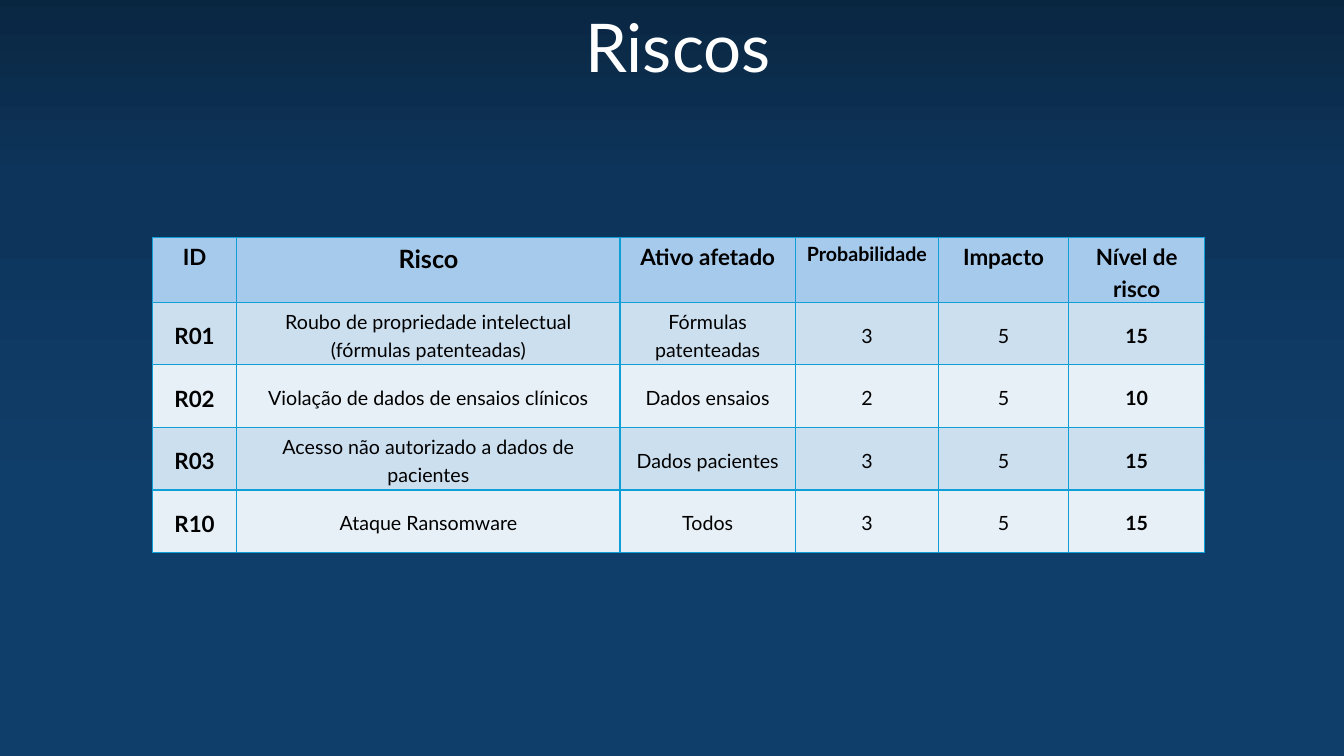
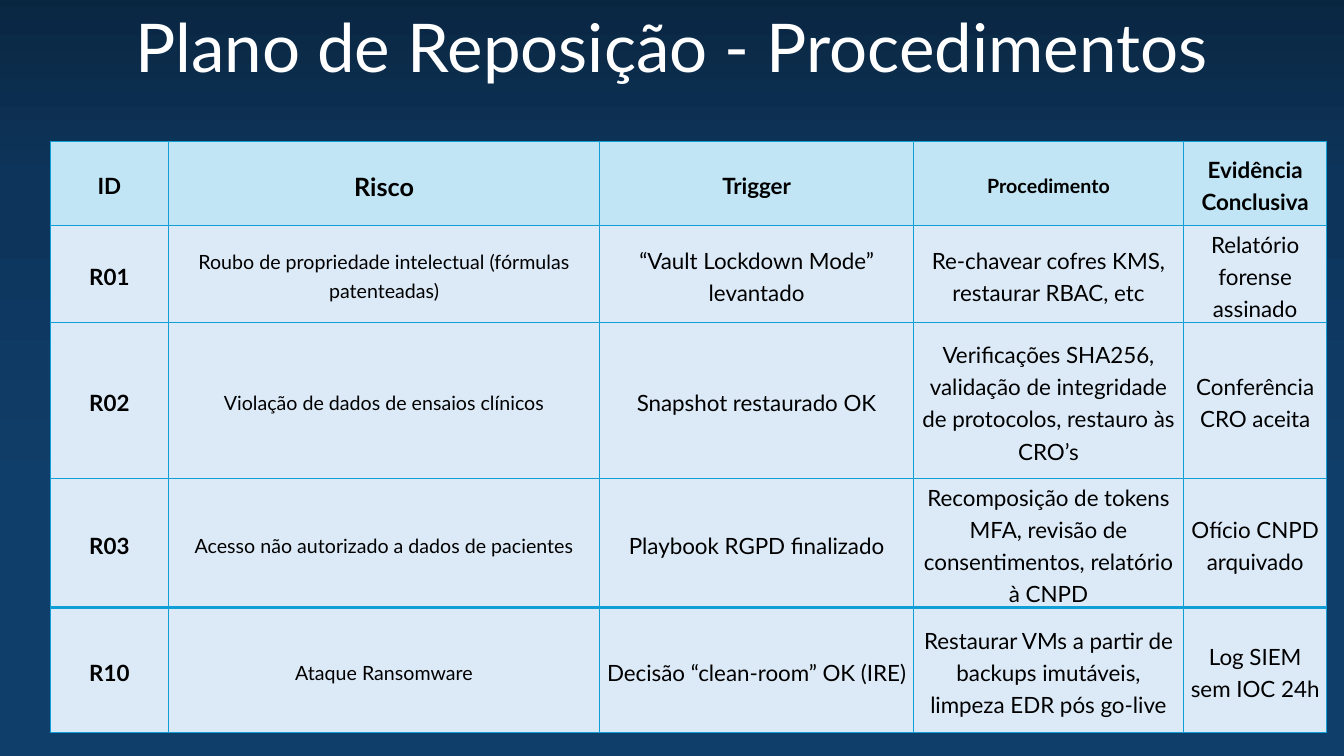
from dataclasses import dataclass

from lxml import etree
from pptx import Presentation
from pptx import util as u
from pptx.dml.color import RGBColor
from pptx.enum import text
from pptx.enum import shapes
from pptx.oxml import ns

PX = 9144
FONT = "Lato"
WHITE, BLACK, BORDER = "FFFFFF", "000000", "0F9ED5"
GRADIENT = [(0, "09253F"), (25, "0D345A"), (65, "103E6A")]
BACKDROP = (-27, -22, 1398, 798)
TITLE_HEIGHT = 91


@dataclass
class Column:
    """A table column with its heading, width and text format."""
    heading: str
    width: int
    head_pt: int = 16
    body_pt: int = 14
    bold: bool = False


@dataclass
class RiskSlide:
    """A slide with a title over one table of risks."""
    title: str
    title_left: int
    title_width: int
    left: int
    top: int
    heights: list[int]
    columns: list[Column]
    rows: list[tuple[str, ...]]
    head_fill: str
    body_fills: list[str]
    head_anchor: text.MSO_ANCHOR


RISKS = [
    ("R01", "Roubo de propriedade intelectual (fórmulas patenteadas)"),
    ("R02", "Violação de dados de ensaios clínicos"),
    ("R03", "Acesso não autorizado a dados de pacientes"),
    ("R10", "Ataque Ransomware"),
]
RATINGS = [
    ("Fórmulas patenteadas", "3", "5", "15"),
    ("Dados ensaios", "2", "5", "10"),
    ("Dados pacientes", "3", "5", "15"),
    ("Todos", "3", "5", "15"),
]
PROCEDURES = [
    ("“Vault Lockdown Mode” levantado",
     "Re-chavear cofres KMS, restaurar RBAC, etc",
     "Relatório forense assinado"),
    ("Snapshot restaurado OK",
     "Verificações SHA256, validação de integridade de protocolos, restauro às CRO’s",
     "Conferência CRO aceita"),
    ("Playbook RGPD finalizado",
     "Recomposição de tokens MFA, revisão de consentimentos, relatório à CNPD",
     "Ofício CNPD arquivado"),
    ("Decisão “clean-room” OK (IRE)",
     "Restaurar VMs a partir de backups imutáveis, limpeza EDR pós go-live",
     "Log SIEM sem IOC 24h"),
]
SLIDES = [
    RiskSlide(
        "Riscos", 565, 215, 151, 236, [62] * 5,
        [Column("ID", 84, body_pt=16, bold=True),
         Column("Risco", 380, head_pt=18),
         Column("Ativo afetado", 174),
         Column("Probabilidade", 142, head_pt=14),
         Column("Impacto", 129),
         Column("Nível de risco", 135, bold=True)],
        [risk + rating for risk, rating in zip(RISKS, RATINGS)],
        "A6CAEC", ["CCDFEF", "E7F0F7"], text.MSO_ANCHOR.TOP),
    RiskSlide(
        "Plano de Reposição - Procedimentos", 122, 1088, 50, 140,
        [84, 94, 155, 124, 124],
        [Column("ID", 117, body_pt=16, bold=True),
         Column("Risco", 428, head_pt=18),
         Column("Trigger", 311, body_pt=16),
         Column("Procedimento", 268, head_pt=14, body_pt=16),
         Column("Evidência Conclusiva", 142, body_pt=16)],
        [risk + steps for risk, steps in zip(RISKS, PROCEDURES)],
        "C1E5F5", ["DCEAF7"], text.MSO_ANCHOR.MIDDLE),
]


def px(n: int) -> u.Emu:
    """Turn px into EMU."""
    return u.Emu(n * PX)


def rgb(value: str) -> RGBColor:
    """Turn a hex string into a colour."""
    return RGBColor.from_string(value)


def add_xml(parent, tag: str, **attrs):
    """Append a drawing element with attributes."""
    return etree.SubElement(parent, ns.qn(tag), attrs)


def write(tf, content: str, *, size: int, color: str = BLACK, bold: bool = False,
          spacing: float = 1.0, after: int = 0) -> None:
    """Write one centred paragraph into a text frame."""
    p = tf.paragraphs[0]
    p.alignment = text.PP_ALIGN.CENTER
    p.line_spacing = spacing
    p.space_before, p.space_after = u.Pt(0), u.Pt(after)
    r = p.add_run()
    r.text = content
    r.font.name, r.font.size, r.font.bold = FONT, u.Pt(size), bold
    r.font.color.rgb = rgb(color)


def add_backdrop(s) -> None:
    """Draw the gradient behind everything on the slide."""
    sp = s.shapes.add_shape(shapes.MSO_SHAPE.RECTANGLE, *map(px, BACKDROP))
    sp.shadow.inherit = False
    sp.line.fill.background()
    sp.fill.gradient()
    grad = sp._element.spPr.find(ns.qn("a:gradFill"))
    for child in list(grad):
        grad.remove(child)
    stops = add_xml(grad, "a:gsLst")
    for pos, color in GRADIENT:
        stop = add_xml(stops, "a:gs", pos=str(pos * 1000))
        add_xml(stop, "a:srgbClr", val=color)
    add_xml(grad, "a:lin", ang="5400000", scaled="0")
    s.shapes._spTree.insert(2, sp._element)


def add_title(s, spec: RiskSlide) -> None:
    """Place and fill the title placeholder."""
    sp = s.shapes.title
    sp.left, sp.top = px(spec.title_left), px(0)
    sp.width, sp.height = px(spec.title_width), px(TITLE_HEIGHT)
    tf = sp.text_frame
    tf.word_wrap = False
    tf.auto_size = text.MSO_AUTO_SIZE.SHAPE_TO_FIT_TEXT
    tf.vertical_anchor = text.MSO_ANCHOR.TOP
    write(tf, spec.title, size=48, color=WHITE)


def set_borders(cell, top_pt: int) -> None:
    """Draw the four borders of a cell."""
    props = cell._tc.get_or_add_tcPr()
    for side, width in (("L", 1), ("R", 1), ("T", top_pt), ("B", 1)):
        ln = add_xml(props, f"a:ln{side}", w=str(u.Pt(width)))
        add_xml(add_xml(ln, "a:solidFill"), "a:srgbClr", val=BORDER)


def add_risk_table(s, spec: RiskSlide) -> None:
    """Draw the table of risks."""
    width = sum(c.width for c in spec.columns)
    table = s.shapes.add_table(
        len(spec.heights), len(spec.columns), px(spec.left), px(spec.top),
        px(width), px(sum(spec.heights))).table
    table.first_row = table.horz_banding = False
    for column, c in zip(table.columns, spec.columns):
        column.width = px(c.width)
    contents = [tuple(c.heading for c in spec.columns), *spec.rows]
    for i, (height, values) in enumerate(zip(spec.heights, contents)):
        table.rows[i].height = px(height)
        head = i == 0
        fill = spec.head_fill if head else spec.body_fills[(i - 1) % len(spec.body_fills)]
        for j, (c, value) in enumerate(zip(spec.columns, values)):
            cell = table.cell(i, j)
            set_borders(cell, 2 if i == len(spec.rows) else 1)
            cell.fill.solid()
            cell.fill.fore_color.rgb = rgb(fill)
            cell.margin_left = cell.margin_right = px(7)
            cell.margin_top = cell.margin_bottom = px(0)
            cell.vertical_anchor = spec.head_anchor if head else text.MSO_ANCHOR.MIDDLE
            write(cell.text_frame, value, size=c.head_pt if head else c.body_pt,
                  bold=head or c.bold, spacing=1.2, after=3)


def main() -> None:
    """Build the presentation."""
    prs = Presentation()
    prs.slide_width, prs.slide_height = px(1333), px(750)
    for spec in SLIDES:
        s = prs.slides.add_slide(prs.slide_layouts[5])
        add_backdrop(s)
        add_title(s, spec)
        add_risk_table(s, spec)
    prs.save("out.pptx")


if __name__ == "__main__":
    main()
